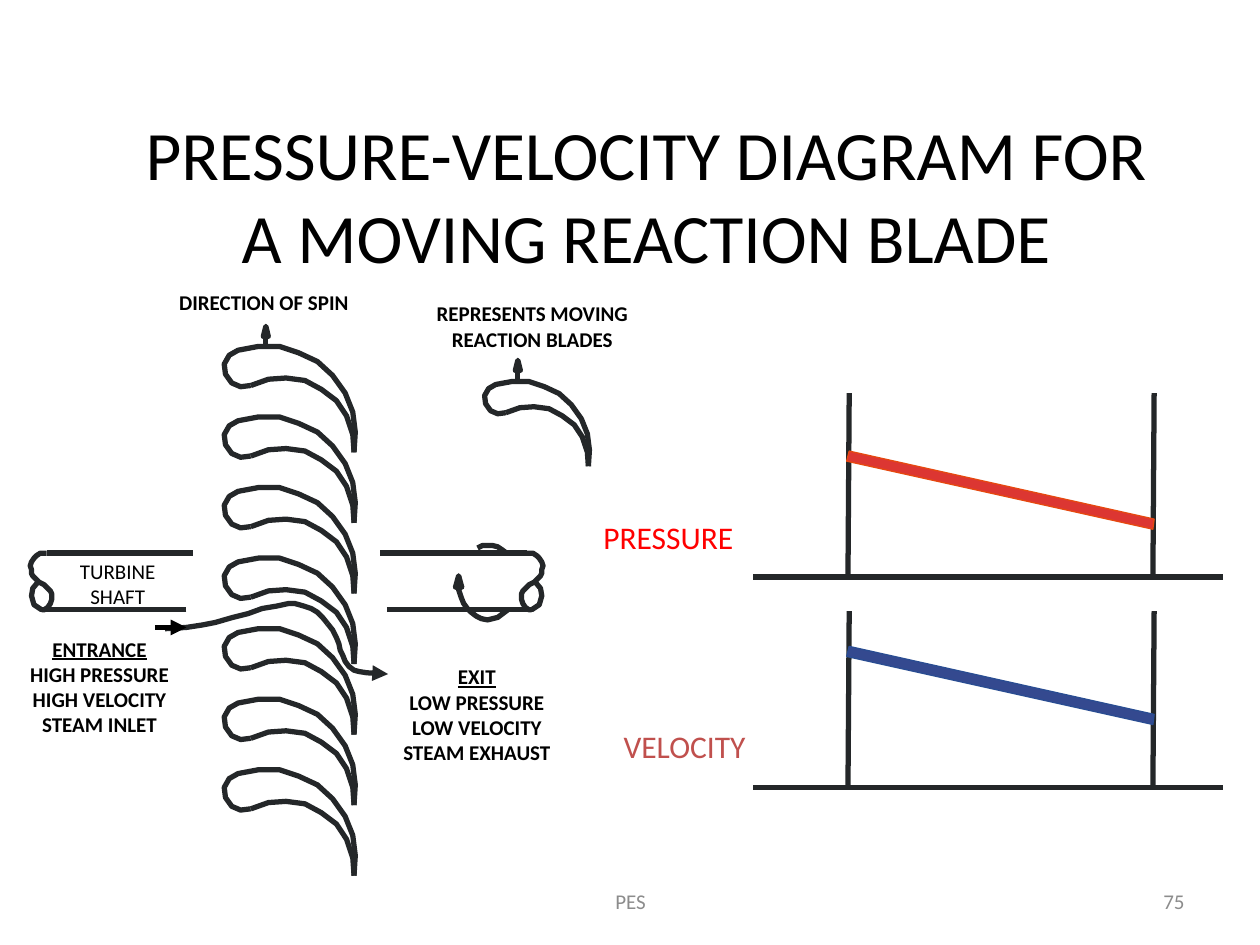
"""Build the pressure-velocity diagram slide for a moving reaction blade."""
from dataclasses import dataclass
from typing import Optional

from lxml.etree import SubElement
from pptx import Presentation
from pptx.dml.color import RGBColor
from pptx.enum.shapes import MSO_CONNECTOR as Connector
from pptx.enum.text import MSO_ANCHOR as Anchor, MSO_AUTO_SIZE as AutoSize, PP_ALIGN as Align
from pptx.oxml.ns import qn
from pptx.util import Inches, Pt

BLACK = RGBColor(0x00, 0x00, 0x00)
INK = RGBColor(0x24, 0x27, 0x29)
ARROW_FILL = RGBColor(0x13, 0x15, 0x16)
GRAY = RGBColor(0x8C, 0x8C, 0x8C)
RED = RGBColor(0xFF, 0x00, 0x00)
BRICK = RGBColor(0xC0, 0x50, 0x4D)
PRESSURE_FILL = RGBColor(0xDC, 0x36, 0x32)
PRESSURE_EDGE = RGBColor(0xE6, 0x48, 0x10)
VELOCITY_FILL = RGBColor(0x34, 0x49, 0x8F)
VELOCITY_EDGE = RGBColor(0x2A, 0x4D, 0x92)

Point = tuple[float, float]


@dataclass(frozen=True)
class Label:
    lines: tuple[str, ...]
    box: tuple[float, float, float, float]
    size: float = 12
    color: RGBColor = BLACK
    bold: bool = False
    headed: bool = False
    align: Align = Align.CENTER
    anchor: Anchor = Anchor.TOP


@dataclass(frozen=True)
class Graph:
    top: float
    floor: float
    band_top: float
    fill: RGBColor
    edge: RGBColor


LABELS = (
    Label(("TURBINE", "SHAFT"), (0.47, 4.38, 0.93, 0.5)),
    Label(("DIRECTION OF SPIN",), (1.18, 2.25, 1.83, 0.3), bold=True),
    Label(("ENTRANCE", "HIGH PRESSURE", "HIGH VELOCITY", "STEAM INLET"),
          (0, 5, 1.58, 0.9), bold=True, headed=True),
    Label(("REPRESENTS MOVING", "REACTION BLADES"), (3.2, 2.34, 2.05, 0.5), bold=True),
    Label(("EXIT", "LOW PRESSURE", "LOW VELOCITY", "STEAM EXHAUST"),
          (2.97, 5.22, 1.63, 0.9), bold=True, headed=True),
    Label(("PRESSURE",), (4.69, 4.06, 2.04, 0.5), 18, RED, align=Align.LEFT),
    Label(("VELOCITY",), (4.85, 5.72, 1.85, 0.5), 18, BRICK, align=Align.LEFT),
    Label(("PES",), (3.42, 6.95, 3.17, 0.4), color=GRAY, anchor=Anchor.MIDDLE),
    Label(("75",), (7.17, 6.95, 2.33, 0.4), color=GRAY, align=Align.RIGHT, anchor=Anchor.MIDDLE),
)
GRAPHS = (
    Graph(3.12, 4.58, 3.58, PRESSURE_FILL, PRESSURE_EDGE),
    Graph(4.85, 6.25, 5.13, VELOCITY_FILL, VELOCITY_EDGE),
)
BLADE_INNER = ((0, 0), (-0.01, -0.14), (-0.06, -0.29), (-0.14, -0.41), (-0.26, -0.5),
               (-0.39, -0.57), (-0.54, -0.59), (-0.68, -0.58), (-0.82, -0.53))
BLADE_OUTER = ((0, 0), (0.01, -0.16), (-0.01, -0.32), (-0.07, -0.47), (-0.17, -0.61),
               (-0.29, -0.72), (-0.44, -0.79), (-0.59, -0.84), (-0.76, -0.84),
               (-0.92, -0.81), (-0.99, -0.77), (-1.03, -0.7), (-1.02, -0.62),
               (-0.97, -0.55), (-0.9, -0.52), (-0.82, -0.53))
SHAFT_EDGES = (((1.48, 4.84), (0.32, 4.84)), ((1.53, 4.39), (0.37, 4.39)))
SHAFT_RIM = ((0.31, 4.61), (0.26, 4.67), (0.25, 4.73), (0.27, 4.8), (0.33, 4.84))
SHAFT_END = ((0.37, 4.39), (0.32, 4.39), (0.29, 4.41), (0.27, 4.43), (0.25, 4.46), (0.24, 4.49),
             (0.25, 4.52), (0.25, 4.55), (0.26, 4.57), (0.28, 4.59), (0.31, 4.62), (0.35, 4.64),
             (0.38, 4.67), (0.4, 4.69), (0.41, 4.71), (0.41, 4.76), (0.4, 4.79), (0.38, 4.82),
             (0.35, 4.84), (0.33, 4.84))
SHAFT_CENTERS_SUM = 4.55
SPIN_FRONT = ((3.64, 4.57), (3.64, 4.68), (3.66, 4.74), (3.68, 4.79), (3.71, 4.83), (3.74, 4.86),
              (3.78, 4.89), (3.82, 4.91), (3.87, 4.92), (3.91, 4.91), (3.95, 4.9), (3.99, 4.87),
              (4.03, 4.84))
SPIN_BACK = ((4.02, 4.39), (3.98, 4.36), (3.95, 4.34), (3.91, 4.33), (3.83, 4.33), (3.79, 4.35))
STEAM_IN = ((1.31, 4.99), (1.48, 4.98), (1.61, 4.96), (1.71, 4.94), (1.78, 4.92), (1.85, 4.9),
            (1.97, 4.87), (2.08, 4.83), (2.2, 4.81), (2.29, 4.79), (2.34, 4.79), (2.41, 4.81),
            (2.47, 4.83), (2.52, 4.86), (2.56, 4.9), (2.6, 4.95))
STEAM_OUT = ((2.6, 4.95), (2.64, 5), (2.67, 5.06), (2.69, 5.11), (2.7, 5.16), (2.72, 5.2),
             (2.74, 5.25), (2.77, 5.29), (2.81, 5.32), (2.85, 5.33), (2.91, 5.34), (3.08, 5.35))


def add_arrowhead(shape) -> None:
    SubElement(shape.element.spPr.find(qn("a:ln")), qn("a:tailEnd"), type="triangle")


def draw_line(shapes, start: Point, end: Point, color: RGBColor = INK, arrow: bool = False) -> None:
    line = shapes.add_connector(Connector.STRAIGHT, *map(Inches, start + end))
    line.line.color.rgb = color
    line.line.width = Pt(3)
    if arrow:
        add_arrowhead(line)
    SubElement(line.element.spPr, qn("a:effectLst"))


def draw_path(shapes, points: tuple[Point, ...], fill: Optional[RGBColor] = None,
              color: RGBColor = INK, width: float = 3, arrow: bool = False) -> None:
    corners = [(Inches(x), Inches(y)) for x, y in points]
    builder = shapes.build_freeform(*corners[0])
    builder.add_line_segments(corners[1:], close=fill is not None)
    outline = builder.convert_to_shape()
    outline.shadow.inherit = False
    if fill is None:
        outline.fill.background()
    else:
        outline.fill.solid()
        outline.fill.fore_color.rgb = fill
    outline.line.color.rgb = color
    outline.line.width = Pt(width)
    if arrow:
        add_arrowhead(outline)


def draw_spin_tip(shapes, x: float, y: float, half: float = 0.02, height: float = 0.08) -> None:
    draw_path(shapes, ((x, y), (x + half, y + height), (x - half, y + height)), ARROW_FILL)


def draw_blade(shapes, tip: Point, scale: float = 1) -> None:
    for curve in (BLADE_INNER, BLADE_OUTER):
        draw_path(shapes, tuple((tip[0] + scale * x, tip[1] + scale * y) for x, y in curve))


def draw_shaft(shapes) -> None:
    for mirrored in (False, True):
        def side(points):
            return tuple((SHAFT_CENTERS_SUM - x if mirrored else x, y) for x, y in points)
        for edge in SHAFT_EDGES:
            draw_line(shapes, *side(edge))
        for curve in (SHAFT_RIM, SHAFT_END):
            draw_path(shapes, side(curve))


def draw_graph(shapes, graph: Graph) -> None:
    y = graph.band_top
    band = ((6.74, y), (6.72, y + 0.08), (9.15, y + 0.62), (9.16, y + 0.54))
    for x in (6.73, 9.15):
        draw_line(shapes, (x, graph.floor), (x + 0.01, graph.top))
    draw_path(shapes, band, graph.fill, graph.edge, 0)
    draw_line(shapes, (5.98, graph.floor), (9.71, graph.floor))


def format_font(font, color: RGBColor, **values) -> None:
    for attribute, value in {"name": "Calibri", **values}.items():
        setattr(font, attribute, value)
    font.color.rgb = color


def draw_label(shapes, label: Label) -> None:
    frame = shapes.add_textbox(*map(Inches, label.box)).text_frame
    frame.word_wrap = True
    frame.vertical_anchor = label.anchor
    frame.text = "\n".join(label.lines)
    for index, paragraph in enumerate(frame.paragraphs):
        paragraph.alignment = label.align
        format_font(paragraph.runs[0].font, label.color, size=Pt(label.size), bold=label.bold,
                    underline=label.headed and index == 0)


def draw_title(title) -> None:
    for attribute, value in zip(("left", "top", "width", "height"), (0.59, 0.92, 9.08, 1.25)):
        setattr(title, attribute, Inches(value))
    frame = title.text_frame
    frame.text = "PRESSURE-VELOCITY DIAGRAM FOR\vA MOVING REACTION BLADE"
    frame.auto_size = AutoSize.NONE
    frame.vertical_anchor = Anchor.MIDDLE
    frame.paragraphs[0].alignment = Align.CENTER
    for run in frame.paragraphs[0].runs:
        format_font(run.font, BLACK, size=Pt(39.6))


def main() -> None:
    deck = Presentation()
    deck.slide_width, deck.slide_height = Inches(10), Inches(7.5)
    slide = deck.slides.add_slide(deck.slide_layouts[5])
    shapes = slide.shapes
    draw_title(shapes.title)
    draw_shaft(shapes)
    for curve in (SPIN_FRONT, SPIN_BACK):
        draw_path(shapes, curve)
    draw_spin_tip(shapes, 3.64, 4.57, 0.025, 0.09)
    draw_blade(shapes, (4.67, 3.7), 0.8)
    for row in reversed(range(7)):
        draw_blade(shapes, (2.81, 3.59 + 0.56 * row))
    for x, y in ((4.11, 2.86), (2.11, 2.59)):
        draw_line(shapes, (x, y + 0.16), (x, y))
        draw_spin_tip(shapes, x, y)
    draw_path(shapes, STEAM_IN)
    draw_path(shapes, STEAM_OUT, arrow=True)
    draw_line(shapes, (1.23, 4.98), (1.48, 4.98), BLACK, arrow=True)
    for graph in GRAPHS:
        draw_graph(shapes, graph)
    for label in LABELS:
        draw_label(shapes, label)
    deck.save("out.pptx")


if __name__ == "__main__":
    main()
